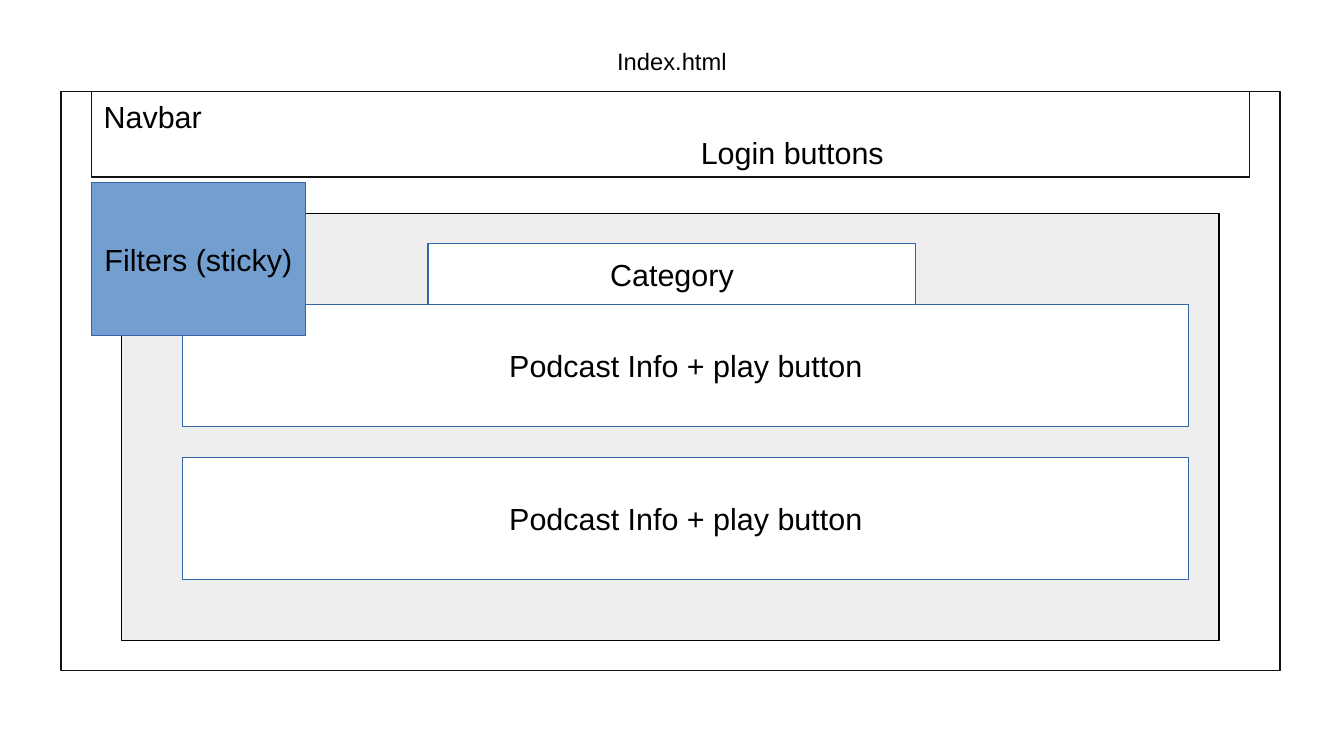
from pptx import Presentation
from pptx.dml.color import RGBColor
from pptx.enum.shapes import MSO_SHAPE
from pptx.enum.text import MSO_ANCHOR, PP_ALIGN
from pptx.util import Cm, Pt

TITLE = ("Index.html", (1.4, 0.64, 25.2, 1.27))
PODCAST_TEXT = "Podcast Info + play button"
PODCAST_TOP, PODCAST_STEP = 6.35, 3.18
BLUE, BLACK, WHITE = "3465A4", "000000", "FFFFFF"


def podcast(row):
    top = PODCAST_TOP + row * PODCAST_STEP
    return ([PODCAST_TEXT], (3.81, top, 20.96, 2.54), WHITE, BLUE, 0)


# Lines of text, (left, top, width, height) in cm, fill, outline, outline points
BOXES = [
    ([], (1.27, 1.91, 25.4, 12.06), WHITE, "111111", 0),
    (["Navbar", "Login buttons"], (1.91, 1.91, 24.13, 1.78), WHITE, "111111", 0.79),
    ([], (2.54, 4.45, 22.86, 8.89), "EEEEEE", BLACK, 0),
    podcast(0),
    (["Filters (sticky)"], (1.91, 3.81, 4.45, 3.18), "729FCF", BLUE, 0),
    podcast(1),
    (["Category"], (8.92, 5.08, 10.16, 1.27), WHITE, BLUE, 0),
]
LOGIN_INDENT = 12.44
BOX_MARGINS = (0.25, 0.13, 0.25, 0.13)


def color(value):
    return RGBColor.from_string(value)


def write(box, lines, size, margins):
    frame = box.text_frame
    sides = ("margin_left", "margin_top", "margin_right", "margin_bottom")
    layout = {side: Cm(margin) for side, margin in zip(sides, margins)}
    layout.update(word_wrap=True, vertical_anchor=MSO_ANCHOR.MIDDLE)
    for name, value in layout.items():
        setattr(frame, name, value)
    for index, line in enumerate(lines):
        para = frame.add_paragraph() if index else frame.paragraphs[0]
        para.alignment = PP_ALIGN.LEFT if len(lines) > 1 else PP_ALIGN.CENTER
        if index:
            para._p.get_or_add_pPr().set("marL", str(Cm(LOGIN_INDENT)))
        span = para.add_run()
        span.text = line
        for name, value in {"name": "Arial", "size": Pt(size)}.items():
            setattr(span.font, name, value)
        span.font.color.rgb = color(BLACK)


def add_box(page, lines, place, fill, outline, width):
    box = page.shapes.add_shape(MSO_SHAPE.RECTANGLE, *map(Cm, place))
    box.shadow.inherit = False
    box.fill.solid()
    box.fill.fore_color.rgb = color(fill)
    box.line.color.rgb = color(outline)
    box.line.width = Pt(width)
    write(box, lines, 18, BOX_MARGINS)


def main():
    deck = Presentation()
    deck.slide_width, deck.slide_height = Cm(28), Cm(15.75)
    page = deck.slides.add_slide(deck.slide_layouts[6])
    text, place = TITLE
    write(page.shapes.add_textbox(*map(Cm, place)), [text], 14, (0, 0, 0, 0))
    for box in BOXES:
        add_box(page, *box)
    deck.save("out.pptx")


if __name__ == "__main__":
    main()
